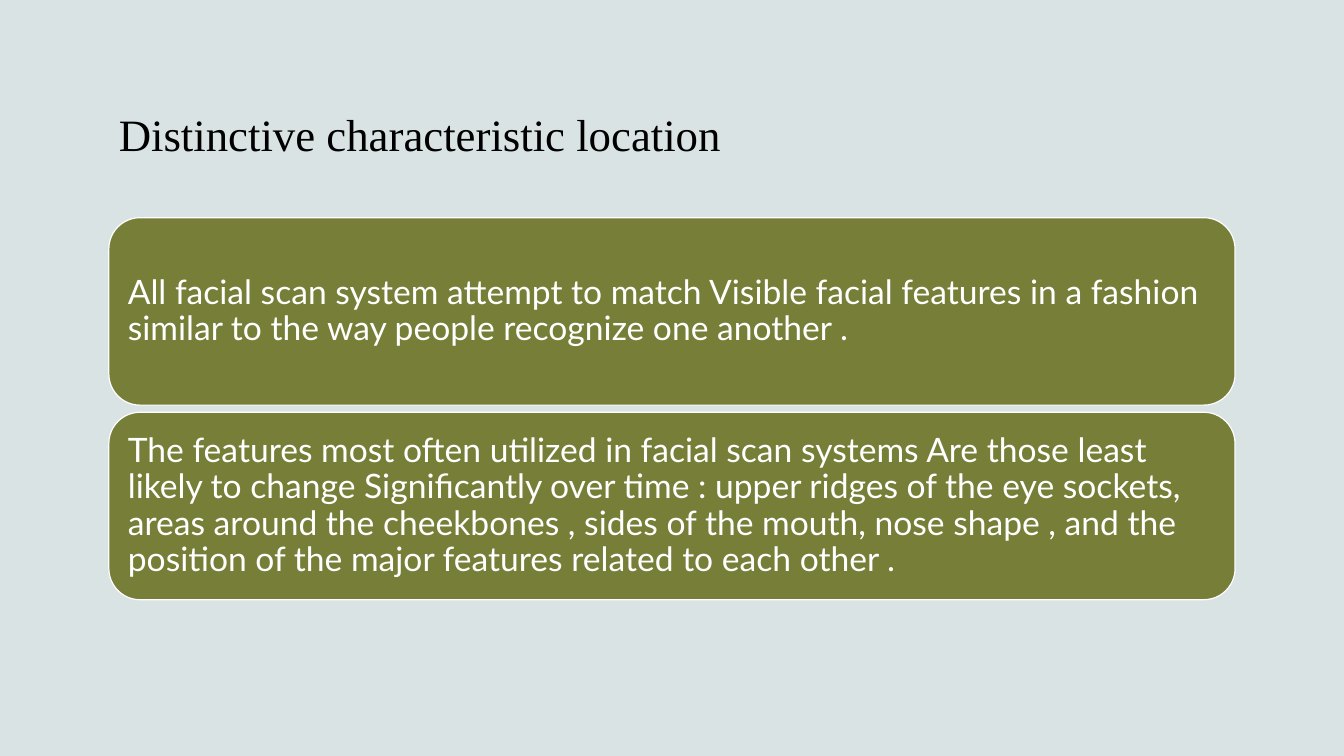
from dataclasses import dataclass

from pptx import Presentation
from pptx.dml.color import RGBColor
from pptx.enum.shapes import MSO_SHAPE
from pptx.enum.text import MSO_ANCHOR, PP_ALIGN
from pptx.util import Inches, Pt

ROUNDED = MSO_SHAPE.ROUNDED_RECTANGLE
LEFT = PP_ALIGN.LEFT
MIDDLE, BOTTOM = MSO_ANCHOR.MIDDLE, MSO_ANCHOR.BOTTOM

COLOURS = {"background": "DAE3E3", "panel": "767E37", "outline": "FFFFFF",
           "title": "000000", "panel text": "FFFFFF"}

# Lengths in inches: one column of content, panels stacked at an equal pitch
PAGE_WIDTH, PAGE_HEIGHT = 13.33, 7.5
COLUMN_LEFT, COLUMN_WIDTH = 1.08, 11.17
TITLE_TOP, TITLE_HEIGHT = 0.43, 1.22
PANEL_TOP, PANEL_HEIGHT, PANEL_GAP = 2.16, 1.86, 0.07


@dataclass
class TextStyle:
    font: dict
    colour: str
    frame: dict
    line_spacing: float = 0.9


TITLE_STYLE = TextStyle(
    font={"name": "Times New Roman", "size": Pt(32)},
    colour="title",
    frame={"word_wrap": True, "vertical_anchor": BOTTOM},
)
PANEL_STYLE = TextStyle(
    font={"name": "Lato", "size": Pt(24)},
    colour="panel text",
    frame={"word_wrap": True, "vertical_anchor": MIDDLE,
           "margin_left": Inches(0.1), "margin_right": Inches(0.1),
           "margin_top": Inches(0.1), "margin_bottom": Inches(0.1)},
)

TITLE = "Distinctive characteristic location"
PANELS = [
    "All facial scan system attempt to match Visible facial features in a "
    "fashion similar to the way people recognize one another .",
    "The features most often utilized in facial scan systems Are those least "
    "likely to change Significantly over time : upper ridges of the eye "
    "sockets, areas around the cheekbones , sides of the mouth, nose shape , "
    "and the position of the major features related to each other .",
]


def colour(name: str) -> RGBColor:
    return RGBColor.from_string(COLOURS[name])


def write_text(frame, text: str, style: TextStyle) -> None:
    for name, value in style.frame.items():
        setattr(frame, name, value)
    para = frame.paragraphs[0]
    para.alignment = LEFT
    para.line_spacing = style.line_spacing
    span = para.add_run()
    span.text = text
    for name, value in style.font.items():
        setattr(span.font, name, value)
    span.font.color.rgb = colour(style.colour)


def column_area(top: float, height: float) -> list[int]:
    return [Inches(length) for length in (COLUMN_LEFT, top, COLUMN_WIDTH, height)]


def add_title(page, text: str) -> None:
    box = page.shapes.add_textbox(*column_area(TITLE_TOP, TITLE_HEIGHT))
    write_text(box.text_frame, text, TITLE_STYLE)


def add_panel(page, row: int, text: str) -> None:
    top = PANEL_TOP + row * (PANEL_HEIGHT + PANEL_GAP)
    panel = page.shapes.add_shape(ROUNDED, *column_area(top, PANEL_HEIGHT))
    panel.shadow.inherit = False
    panel.fill.solid()
    panel.fill.fore_color.rgb = colour("panel")
    panel.line.color.rgb = colour("outline")
    panel.line.width = Pt(0.85)
    write_text(panel.text_frame, text, PANEL_STYLE)


def main() -> None:
    deck = Presentation()
    deck.slide_width, deck.slide_height = Inches(PAGE_WIDTH), Inches(PAGE_HEIGHT)
    page = deck.slides.add_slide(deck.slide_layouts[6])
    page.background.fill.solid()
    page.background.fill.fore_color.rgb = colour("background")

    add_title(page, TITLE)
    for row, text in enumerate(PANELS):
        add_panel(page, row, text)

    deck.save("out.pptx")


if __name__ == "__main__":
    main()
